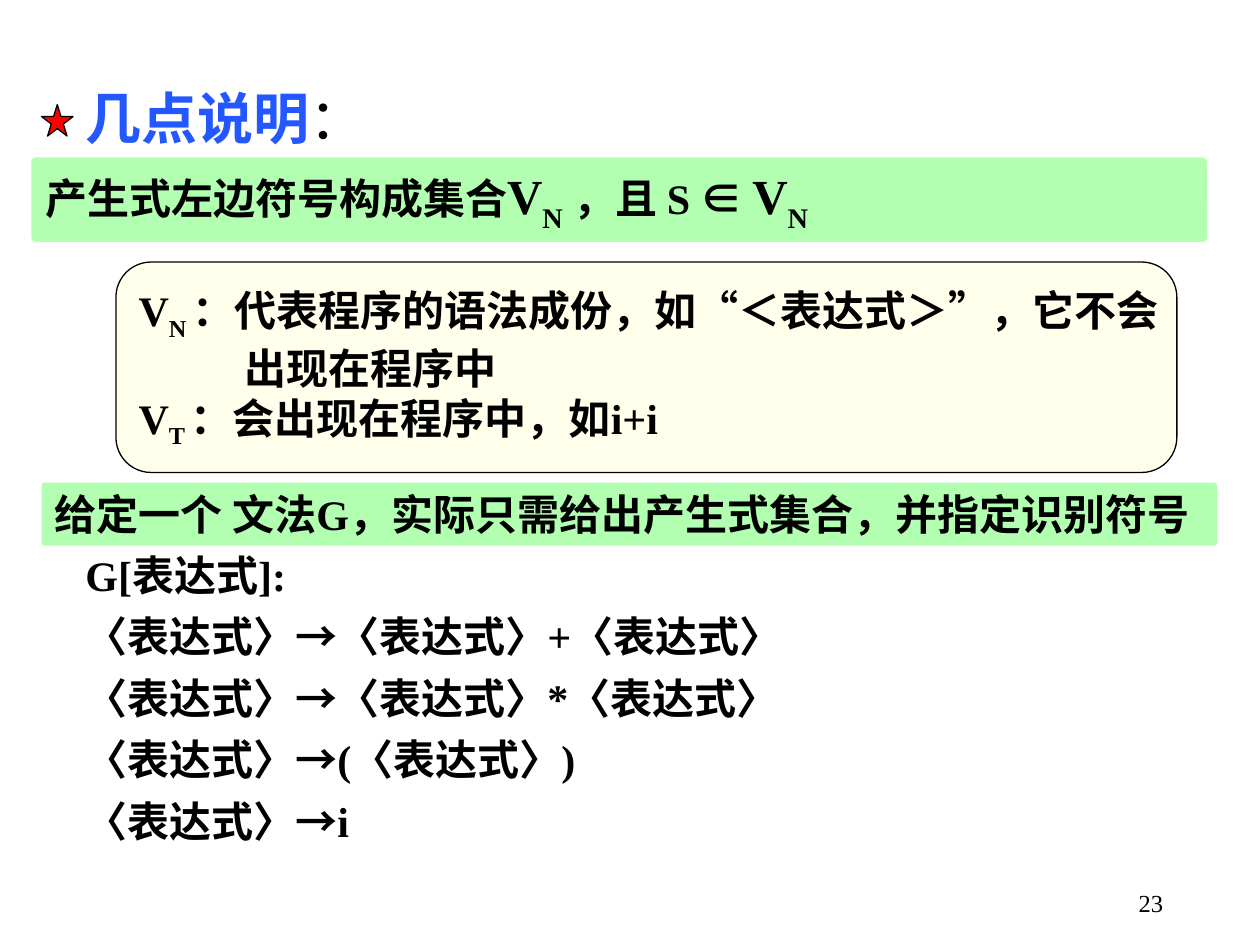
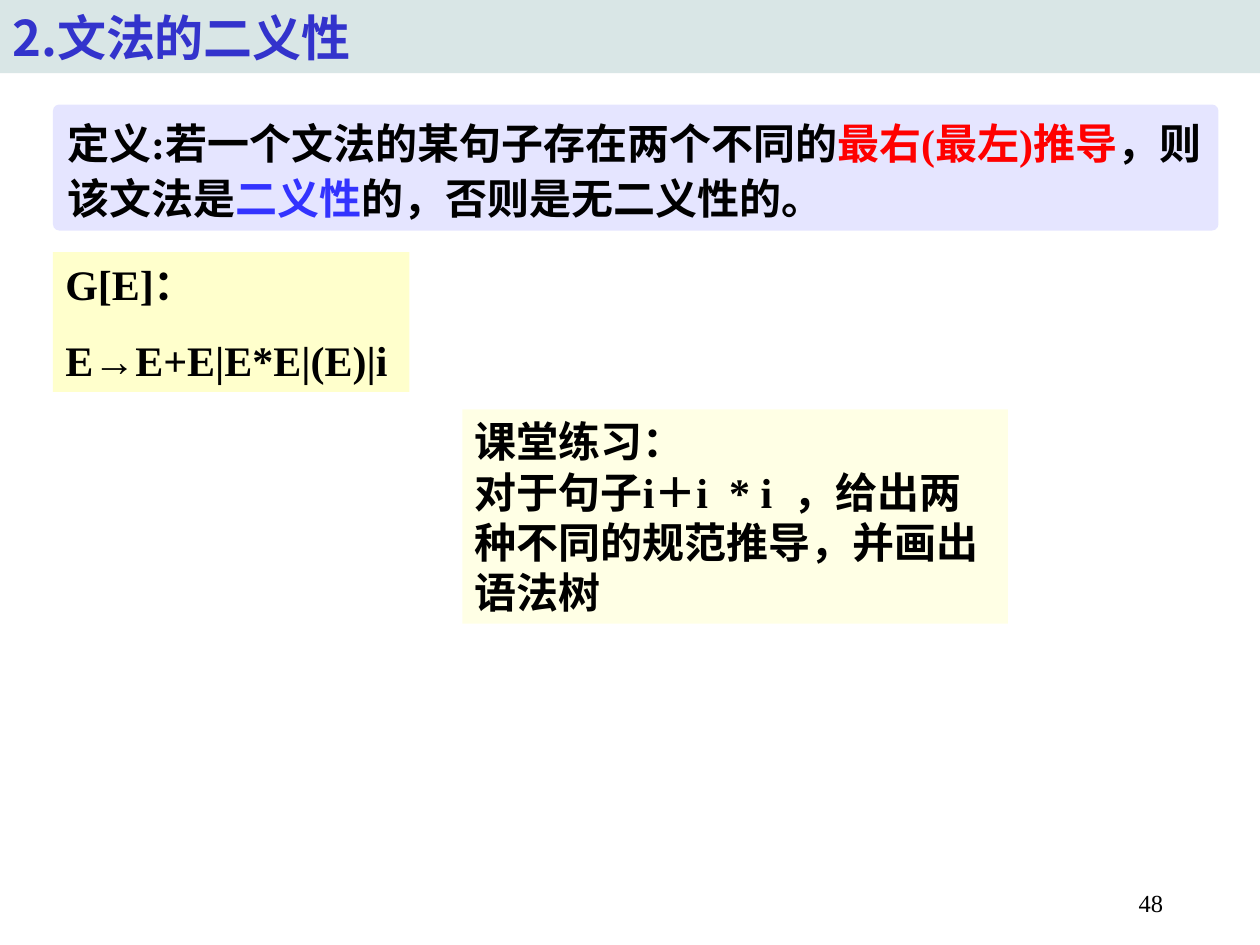
"""Build two slides on grammars: notes on productions, and ambiguity."""
from lxml.etree import SubElement
from pptx import Presentation
from pptx.dml.color import RGBColor
from pptx.enum.shapes import MSO_SHAPE as Shape
from pptx.enum.text import MSO_ANCHOR as Anchor, PP_ALIGN as Align
from pptx.oxml.ns import qn
from pptx.util import Inches, Pt

COLORS = {
    "text": "000000", "heading": "2357FF", "title": "3333CC", "title_band": "D9E6E6",
    "green": "66FF66", "ivory": "FFFFEB", "lilac": "CCCCFF", "yellow": "FFFFCC",
    "red": "FF0000", "blue": "3333FF",
}
SERIF, SANS = "Times New Roman", "Noto Sans CJK SC"
SUB = {"sub": -30, "size": 28}
SMALL_SUB = {"sub": -25}
BIG = {"size": 28}

HEADING = [[("几点说明", {"color": "heading"}), ("：", {"bold": False})]]
LEFT_SIDES = [[
    ("产生式左边符号构成集合", {}), ("V", BIG), ("N", SUB), (" ，且 S ", {}),
    ("∈ ", {"font": SANS}), ("V", BIG), ("N", SUB),
]]
SYMBOL_SETS = [
    [("V", {}), ("N ", SMALL_SUB), ("：代表程序的语法成份，如“＜表达式＞”，它不会", {})],
    "出现在程序中",
    [("V", {}), ("T ", SMALL_SUB), ("：会出现在程序中，如i+i", {})],
]
GIVEN_GRAMMAR = ["给定一个 文法G，实际只需给出产生式集合，并指定识别符号"]
EXPRESSION = "〈表达式〉"
RIGHT_SIDES = [f"{EXPRESSION}+{EXPRESSION}", f"{EXPRESSION}*{EXPRESSION}", f"({EXPRESSION})", "i"]
PRODUCTIONS = ["G[表达式]:"] + [f"{EXPRESSION}→{right}" for right in RIGHT_SIDES]

AMBIGUITY_TITLE = ["2.文法的二义性"]
DEFINITION = [[
    ("定义:若一个文法的某句子存在两个不同的", {}), ("最右(最左)推导", {"color": "red"}),
    ("，则该文法是", {}), ("二义性", {"color": "blue"}), ("的，否则是无二义性的。", {}),
]]
GRAMMAR = ["G[E]：", "E→E+E|E*E|(E)|i"]
EXERCISE = ["课堂练习：", "对于句子i＋i  * i  ，给出两种不同的规范推导，并画出语法树"]


def rgb(color):
    return RGBColor.from_string(COLORS[color])


def style(font, size=None, color=None, bold=None, name=None):
    if size:
        font.size = Pt(size)
    if color:
        font.color.rgb = rgb(color)
    if bold is not None:
        font.bold = bold
    if name:
        font.name = name


def write(shape, paragraphs, size=24, color="text", bold=True, font=SERIF, wrap=True,
          anchor=Anchor.TOP, align=Align.LEFT, line_spacing=None, gap=0):
    frame = shape.text_frame
    frame.word_wrap = wrap
    frame.vertical_anchor = anchor
    for index, content in enumerate(paragraphs):
        paragraph = frame.paragraphs[0] if index == 0 else frame.add_paragraph()
        paragraph.alignment = align
        if line_spacing:
            paragraph.line_spacing = line_spacing
        if gap and index:
            paragraph.space_before = Pt(gap)
        style(paragraph.font, size, color, bold, font)
        runs = [(content, {})] if isinstance(content, str) else content
        for text, look in runs:
            run = paragraph.add_run()
            run.text = text
            style(run.font, look.get("size"), look.get("color"), look.get("bold"), look.get("font"))
            if "sub" in look:
                run.font._element.set("baseline", str(look["sub"] * 1000))


def panel(slide, kind, box, fill, opacity=100, outlined=False, corner=None):
    shape = slide.shapes.add_shape(kind, *map(Inches, box))
    shape.shadow.inherit = False
    shape.fill.solid()
    shape.fill.fore_color.rgb = rgb(fill)
    if opacity < 100:
        tint = shape.fill._xPr.find(qn("a:solidFill"))[0]
        SubElement(tint, qn("a:alpha")).set("val", str(opacity * 1000))
    if outlined:
        shape.line.color.rgb = rgb("text")
        shape.line.width = Pt(0.75)
    else:
        shape.line.fill.background()
    if corner:
        shape.adjustments[0] = corner
    return shape


def label(slide, box, paragraphs, **look):
    write(slide.shapes.add_textbox(*map(Inches, box)), paragraphs, **look)


def new_slide(deck, number):
    slide = deck.slides.add_slide(deck.slide_layouts[6])
    label(slide, (7.25, 7, 2.08, 0.5), [str(number)], size=14, bold=False, align=Align.RIGHT)
    return slide


def build_notes(deck):
    slide = new_slide(deck, 23)
    label(slide, (0.58, 0.67, 2.58, 0.58), HEADING, size=32, line_spacing=0.9)
    panel(slide, Shape.STAR_5_POINT, (0.33, 0.83, 0.25, 0.25), "red", outlined=True)
    for box, statement in [((0.25, 1.25, 9.33, 0.67), LEFT_SIDES),
                           ((0.33, 3.83, 9.33, 0.5), GIVEN_GRAMMAR)]:
        band = panel(slide, Shape.ROUNDED_RECTANGLE, box, "green", opacity=50, corner=0.05)
        write(band, statement, wrap=False, anchor=Anchor.MIDDLE)
    symbols = panel(slide, Shape.FLOWCHART_ALTERNATE_PROCESS, (0.92, 2.08, 8.42, 1.67),
                    "ivory", outlined=True)
    write(symbols, SYMBOL_SETS, wrap=False, anchor=Anchor.MIDDLE)
    continuation = symbols.text_frame.paragraphs[1]._p.get_or_add_pPr()
    continuation.set("marL", str(Inches(0.84)))
    label(slide, (0.58, 4.42, 8, 2.34), PRODUCTIONS, align=Align.JUSTIFY,
          line_spacing=0.7, gap=15)


def build_ambiguity(deck):
    slide = new_slide(deck, 48)
    title = panel(slide, Shape.RECTANGLE, (0, 0, 10, 0.58), "title_band")
    write(title, AMBIGUITY_TITLE, size=28, color="title", font=SANS, wrap=False,
          anchor=Anchor.MIDDLE)
    definition = panel(slide, Shape.ROUNDED_RECTANGLE, (0.42, 0.83, 9.25, 1), "lilac",
                       opacity=50, corner=0.05)
    write(definition, DEFINITION, anchor=Anchor.MIDDLE, line_spacing=1.1)
    grammar = panel(slide, Shape.RECTANGLE, (0.42, 2, 2.83, 1.11), "yellow")
    write(grammar, GRAMMAR, gap=15)
    exercise = panel(slide, Shape.RECTANGLE, (3.67, 3.25, 4.33, 1.7), "yellow", opacity=50)
    write(exercise, EXERCISE)


def main():
    deck = Presentation()
    deck.slide_width, deck.slide_height = Inches(10), Inches(7.5)
    build_notes(deck)
    build_ambiguity(deck)
    deck.save("out.pptx")


if __name__ == "__main__":
    main()
